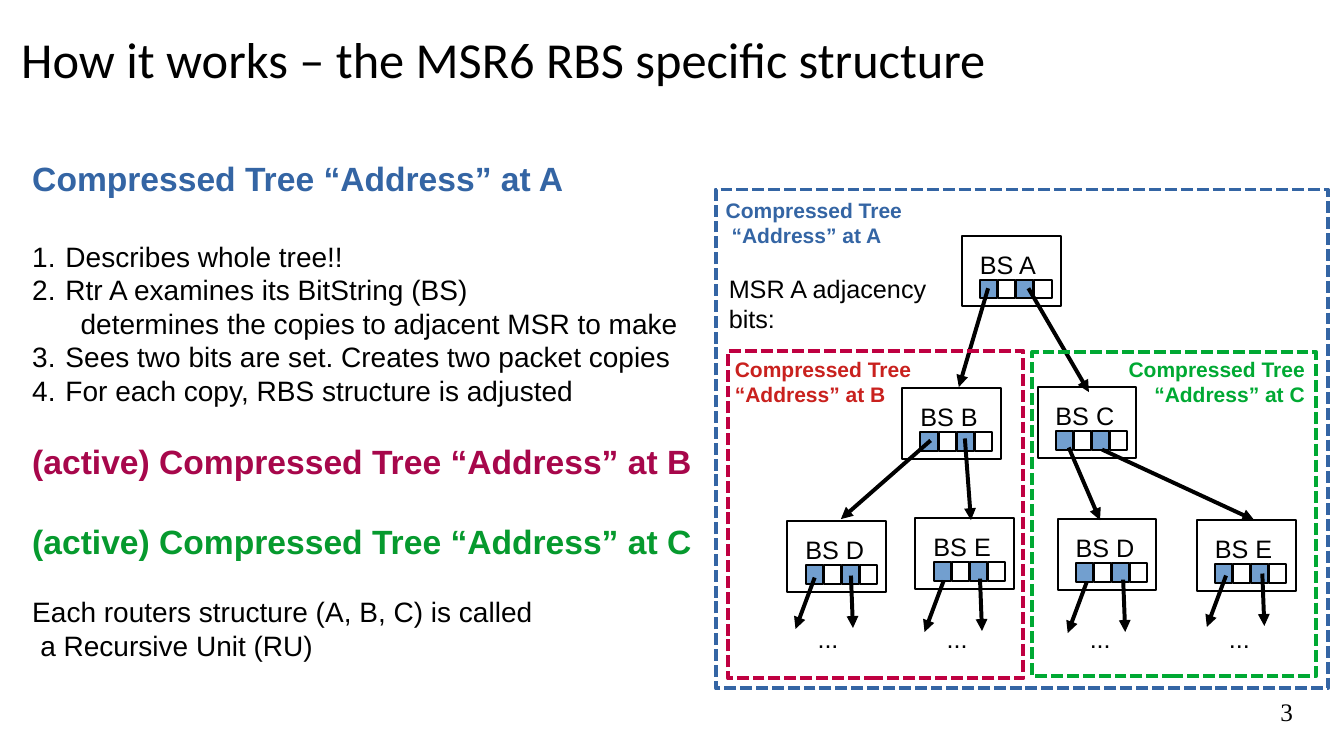
"""Builds the slide on the MSR6 RBS specific structure."""
from lxml.etree import SubElement
from pptx import Presentation
from pptx.dml.color import RGBColor
from pptx.enum.dml import MSO_LINE
from pptx.enum.shapes import MSO_CONNECTOR, MSO_SHAPE
from pptx.enum.text import MSO_ANCHOR, MSO_AUTO_SIZE, PP_ALIGN
from pptx.oxml.ns import qn
from pptx.util import Inches, Pt

COLORS = {
    "black": "000000", "white": "FFFFFF", "bit": "729FCF", "blue": "3465A4",
    "crimson": "BF0041", "red": "C9211E", "green": "00A933",
    "heading_b": "A7074B", "heading_c": "069A2E",
}


def add_text(tf, text, size=18, font="Arial", color="black", bold=False,
             align=PP_ALIGN.LEFT, line=None, before=0, indent=0, number=None):
    p = tf.paragraphs[0] if not tf.paragraphs[0].runs else tf.add_paragraph()
    p.alignment = align
    p.space_before = Pt(before)
    if line:
        p.line_spacing = Pt(line)
    r = p.add_run()
    r.text = text
    r.font.size, r.font.name, r.font.bold = Pt(size), font, bold
    r.font.color.rgb = RGBColor.from_string(COLORS[color])
    pPr = p._p.get_or_add_pPr()
    if indent:
        pPr.set("marL", str(Inches(indent)))
    if number:
        pPr.set("indent", str(-Inches(indent)))
        SubElement(pPr, qn("a:buAutoNum"), type="arabicPeriod", startAt=str(number))


def add_rect(x, y, w, h, line="black", width=1.42, fill=None):
    sp = s.shapes.add_shape(MSO_SHAPE.RECTANGLE, Inches(x), Inches(y), Inches(w), Inches(h))
    sp.shadow.inherit = False
    sp.line.color.rgb = RGBColor.from_string(COLORS[line])
    sp.line.width = Pt(width)
    if fill:
        sp.fill.solid()
        sp.fill.fore_color.rgb = RGBColor.from_string(COLORS[fill])
    else:
        sp.fill.background()
    return sp


prs = Presentation()
prs.slide_width, prs.slide_height = Inches(13.33), Inches(7.5)
s = prs.slides.add_slide(prs.slide_layouts[5])

title = s.shapes.title
title.left, title.top, title.width, title.height = map(Inches, (0.21, 0.24, 12.21, 0.68))
tf = title.text_frame
tf.margin_left = tf.margin_right = tf.margin_top = tf.margin_bottom = 0
tf.vertical_anchor = MSO_ANCHOR.MIDDLE
tf.auto_size = MSO_AUTO_SIZE.NONE
add_text(tf, "How it works – the MSR6 RBS specific structure", size=36, font="Calibri")

tf = s.shapes.add_textbox(Inches(0.32), Inches(1.58), Inches(6.77), Inches(5.2)).text_frame
tf.margin_left = tf.margin_right = tf.margin_top = tf.margin_bottom = 0
tf.word_wrap = True
heading = {"size": 24, "bold": True, "line": 28}
body = {"size": 20, "line": 24}
explanation = [
    ("Compressed Tree “Address” at A", {**heading, "color": "blue"}),
    ("Describes whole tree!!", {**body, "before": 29, "indent": 0.33, "number": 1}),
    ("Rtr A examines its BitString (BS)", {**body, "indent": 0.33, "number": 2}),
    ("determines the copies to adjacent MSR to make", {**body, "indent": 0.48}),
    ("Sees two bits are set. Creates two packet copies", {**body, "indent": 0.33, "number": 3}),
    ("For each copy, RBS structure is adjusted", {**body, "indent": 0.33, "number": 4}),
    ("(active) Compressed Tree “Address” at B", {**heading, "color": "heading_b", "before": 25}),
    ("(active) Compressed Tree “Address” at C", {**heading, "color": "heading_c", "before": 29}),
    ("Each routers structure (A, B, C) is called", {**body, "before": 24}),
    ("a Recursive Unit (RU)", {**body, "indent": 0.08}),
]
for text, style in explanation:
    add_text(tf, text, **style)

nodes = [
    ("BS A", 9.54, 2.34), ("BS B", 8.95, 3.85), ("BS C", 10.29, 3.84),
    ("BS D", 7.81, 5.17), ("BS E", 9.08, 5.14), ("BS D", 10.49, 5.15), ("BS E", 11.87, 5.16),
]
labels = []
for name, x, y in nodes:
    for i in range(4):
        add_rect(x + 0.18 + 0.18 * i, y + 0.44, 0.17, 0.18, fill=("bit", "white")[i % 2])
    add_rect(x, y, 0.98, 0.7)
    labels.append((x + 0.08, y + 0.08, 0.86, 0.38, [name], {}))

arrows = [
    (9.8, 2.86, 9.51, 3.84), (10.2, 2.86, 10.8, 3.89),
    (9.23, 4.37, 8.34, 5.15), (9.57, 4.35, 9.63, 5.16),
    (10.6, 4.44, 10.91, 5.16), (10.93, 4.46, 12.44, 5.16),
]
for x, y in [(8.08, 5.73), (9.36, 5.76), (10.78, 5.77), (12.16, 5.71)]:
    arrows += [(x, y, x - 0.19, y + 0.51), (x + 0.36, y - 0.02, x + 0.38, y + 0.5)]
    labels.append((x - 0.07, 6.13, 0.41, 0.38, ["..."], {}))
for x1, y1, x2, y2 in arrows:
    arrow = s.shapes.add_connector(
        MSO_CONNECTOR.STRAIGHT, Inches(x1), Inches(y1), Inches(x2), Inches(y2))
    arrow.line.color.rgb = RGBColor.from_string(COLORS["black"])
    arrow.line.width = Pt(2.83)
    SubElement(arrow.line._get_or_add_ln(), qn("a:tailEnd"), type="triangle")
    SubElement(arrow._element.spPr, qn("a:effectLst"))

for x, y, w, h, color in [
    (7.1, 1.88, 6.07, 4.95, "blue"),
    (7.22, 3.48, 2.93, 3.25, "crimson"),
    (10.24, 3.49, 2.81, 3.22, "green"),
]:
    add_rect(x, y, w, h, line=color, width=2.83).line.dash_style = MSO_LINE.SQUARE_DOT

address = {"size": 15, "bold": True}
labels += [
    (7.13, 2.66, 2.46, 0.68, ["MSR A adjacency bits:"], {}),
    (12.6, 6.86, 0.42, 0.47, ["3"], {"font": "Times New Roman"}),
    (7.1, 1.91, 5.46, 0.56, ["Compressed Tree", " “Address” at A"], {**address, "color": "blue"}),
    (7.19, 3.49, 5.46, 0.56, ["Compressed Tree", "“Address” at B"], {**address, "color": "red"}),
    (10.3, 3.49, 2.74, 0.56, ["Compressed Tree", "“Address” at C"],
     {**address, "color": "green", "align": PP_ALIGN.RIGHT}),
]
for x, y, w, h, lines, style in labels:
    tf = s.shapes.add_textbox(Inches(x), Inches(y), Inches(w), Inches(h)).text_frame
    tf.word_wrap = True
    for text in lines:
        add_text(tf, text, **style)

prs.save("out.pptx")
